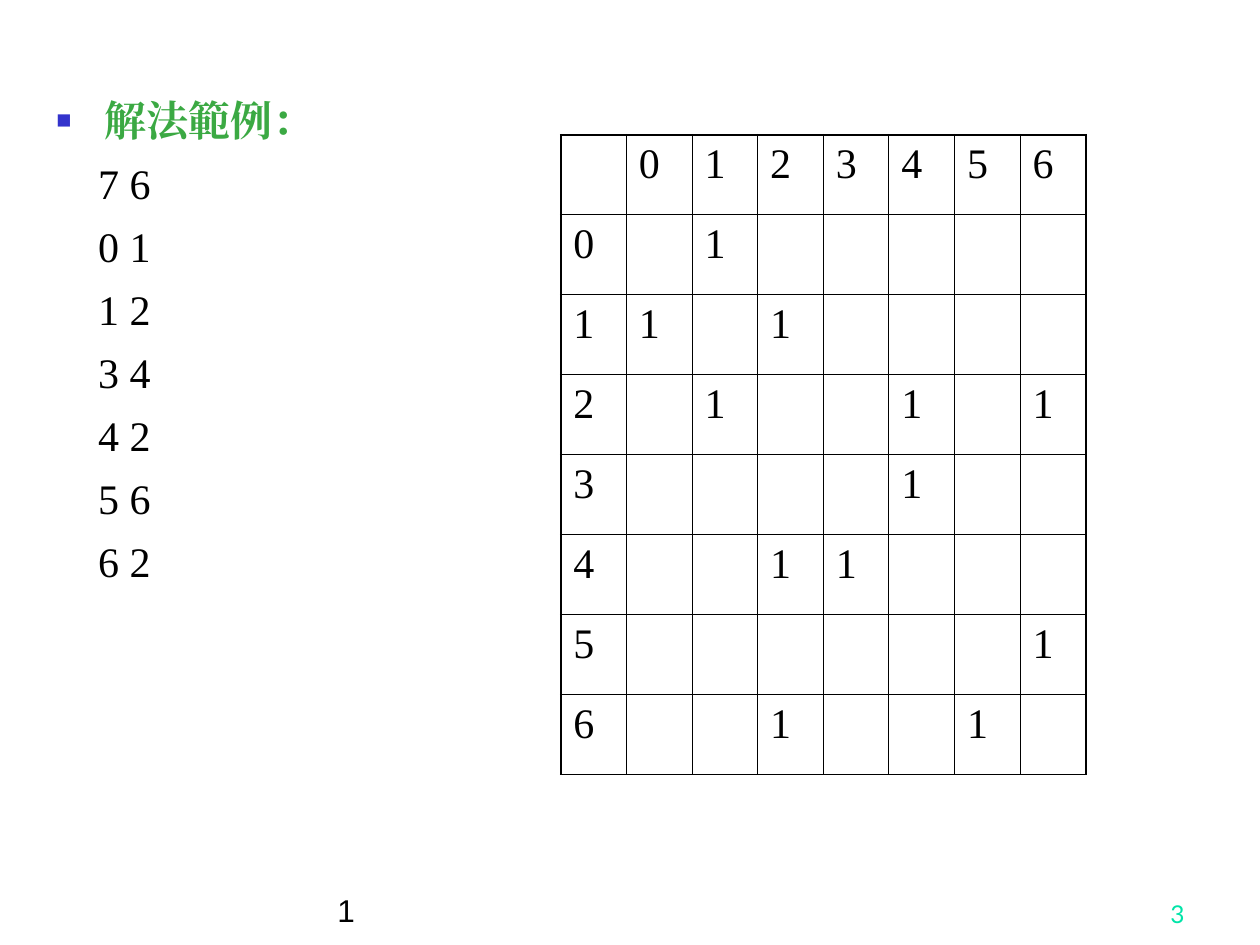
from lxml import etree
from pptx import Presentation
from pptx.dml.color import RGBColor
from pptx.enum.text import MSO_ANCHOR, PP_ALIGN
from pptx.oxml.ns import qn
from pptx.util import Inches, Pt

BOTTOM = MSO_ANCHOR.BOTTOM
LEFT, RIGHT = PP_ALIGN.LEFT, PP_ALIGN.RIGHT
BLACK = RGBColor(0x00, 0x00, 0x00)
GREEN = RGBColor(0x3B, 0xA9, 0x43)
BLUE = RGBColor(0x33, 0x33, 0xCC)
MINT = RGBColor(0x00, 0xE4, 0xA8)
SERIF = "Times New Roman"


def style(p, size, font, color, bold=False):
    for r in p.runs:
        r.font.size = Pt(size)
        r.font.name = font
        r.font.color.rgb = color
        r.font.bold = bold
        ea = etree.SubElement(r.font._element, qn("a:ea"))
        ea.set("typeface", font)


def add_border(cell, side, width):
    ln = etree.SubElement(cell._tc.get_or_add_tcPr(), qn("a:" + side))
    ln.set("w", str(Pt(width)))
    fill = etree.SubElement(ln, qn("a:solidFill"))
    etree.SubElement(fill, qn("a:srgbClr")).set("val", str(BLACK))


prs = Presentation()
prs.slide_width, prs.slide_height = Inches(10), Inches(7.5)
s = prs.slides.add_slide(prs.slide_layouts[6])

# Heading and input lines: vertex and edge counts, then the edges
edges = [(0, 1), (1, 2), (3, 4), (4, 2), (5, 6), (6, 2)]
lines = ["解法範例："] + [f"{a} {b}" for a, b in [(7, len(edges))] + edges]
tf = s.shapes.add_textbox(Inches(0.35), Inches(0.7), Inches(4.17), Inches(6.26)).text_frame
tf.word_wrap = True
for i, line in enumerate(lines):
    p = tf.paragraphs[0] if i == 0 else tf.add_paragraph()
    p.text = line
    pPr = p._p.get_or_add_pPr()
    if i == 0:
        pPr.set("marL", str(Inches(0.38)))
        pPr.set("indent", str(-Inches(0.38)))
        color = etree.SubElement(pPr, qn("a:buClr"))
        etree.SubElement(color, qn("a:srgbClr")).set("val", str(BLUE))
        etree.SubElement(pPr, qn("a:buSzPct")).set("val", "60000")
        etree.SubElement(pPr, qn("a:buFont")).set("typeface", "Arial")
        etree.SubElement(pPr, qn("a:buChar")).set("char", "■")
        style(p, 24, SERIF, GREEN, True)
    else:
        pPr.set("marL", str(Inches(0.33)))
        pPr.set("indent", "0")
        p.space_before = Pt(7.2)
        style(p, 24, SERIF, BLACK)

# Adjacency matrix
matrix = [
    " 0123456",
    "0 1     ",
    "11 1    ",
    "2 1  1 1",
    "3    1  ",
    "4  11   ",
    "5      1",
    "6  1  1 ",
]
n = len(matrix)
frame = s.shapes.add_table(n, n, Inches(4.45), Inches(1.07), Inches(4.17), Inches(5.08))
table = frame.table
table.first_row = table.horz_banding = False
for r, values in enumerate(matrix):
    for c, value in enumerate(values):
        cell = table.cell(r, c)
        outer = {"lnL": c == 0, "lnR": c == n - 1, "lnT": r == 0, "lnB": r == n - 1}
        for side, is_outer in outer.items():
            add_border(cell, side, 1.08 if is_outer else 0.45)
        cell.fill.background()
        cell.text = value.strip()
        style(cell.text_frame.paragraphs[0], 24, SERIF, BLACK)

# Footer and slide number
for text, x, w, align, size, font, color in [
    ("1", 2.58, 5.42, LEFT, 18, "Arial", BLACK),
    ("3", 7.42, 2.08, RIGHT, 14, "Lato", MINT),
]:
    tf = s.shapes.add_textbox(Inches(x), Inches(6.92), Inches(w), Inches(0.5)).text_frame
    tf.word_wrap = True
    tf.vertical_anchor = BOTTOM
    tf.text = text
    p = tf.paragraphs[0]
    p.alignment = align
    style(p, size, font, color)

prs.save("out.pptx")
